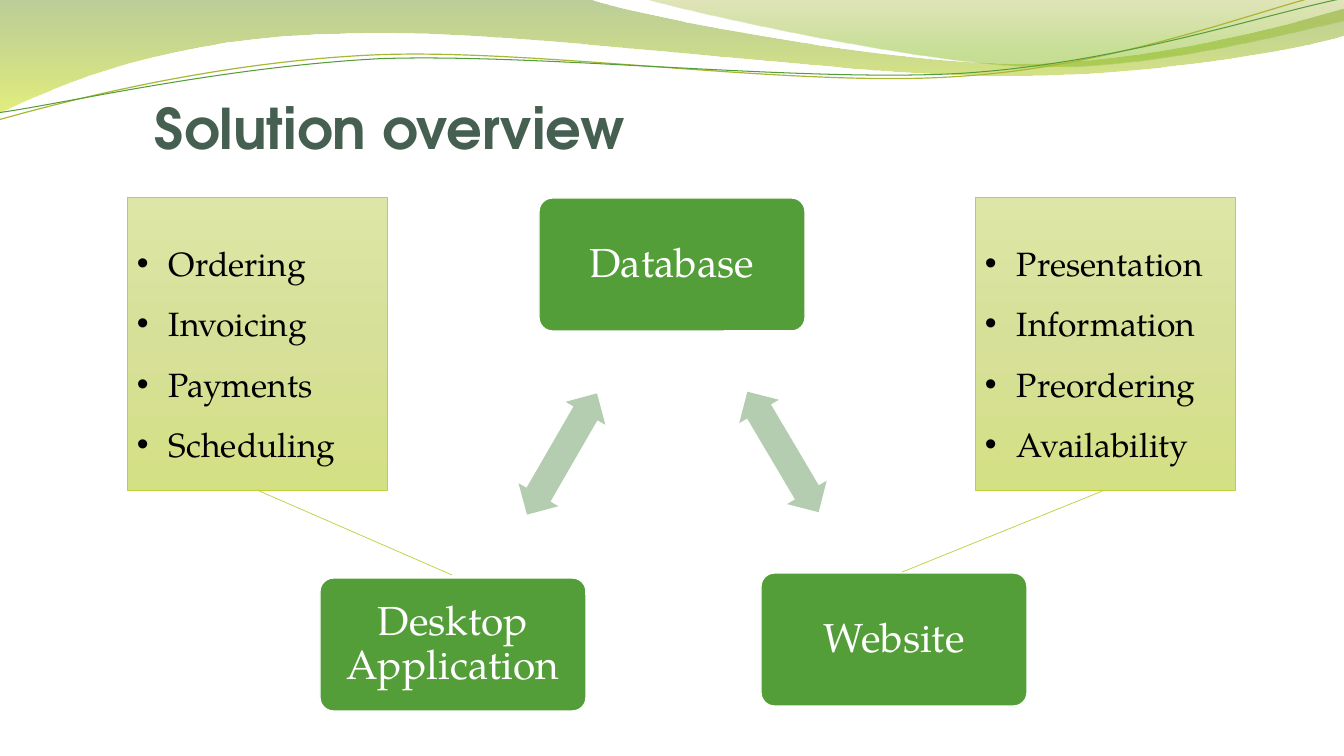
"""Build the "Solution overview" slide: three linked components and two feature callouts."""
from copy import deepcopy

from lxml import etree
from pptx import Presentation
from pptx.dml.color import RGBColor
from pptx.enum.shapes import MSO_SHAPE
from pptx.enum.text import MSO_ANCHOR, PP_ALIGN
from pptx.oxml.ns import qn
from pptx.util import Pt

PX = 914400 / 100.8
ROUNDED = MSO_SHAPE.ROUNDED_RECTANGLE
DOUBLE_ARROW = MSO_SHAPE.LEFT_RIGHT_ARROW
CALLOUT = MSO_SHAPE.LINE_CALLOUT_1
MIDDLE, BOTTOM = MSO_ANCHOR.MIDDLE, MSO_ANCHOR.BOTTOM
CENTER, LEFT = PP_ALIGN.CENTER, PP_ALIGN.LEFT

HEADING_FONT = "TeX Gyre Adventor"
BODY_FONT = "TeX Gyre Pagella"
WHITE = RGBColor(0xFF, 0xFF, 0xFF)
BLACK = RGBColor(0x00, 0x00, 0x00)
SLATE = RGBColor(0x45, 0x5F, 0x51)
GREEN = RGBColor(0x54, 0x9E, 0x39)
SAGE = RGBColor(0xB4, 0xCC, 0xAF)
LIME = RGBColor(0xC0, 0xCF, 0x3A)
PALE_LIME = RGBColor(0xDD, 0xE6, 0xA6)
MID_LIME = RGBColor(0xD7, 0xE0, 0x98)
SOFT_LIME = RGBColor(0xD4, 0xE0, 0x84)
MOSS = RGBColor(0x69, 0x92, 0x1C)
YELLOW_GREEN = RGBColor(0xCC, 0xE1, 0x0F)
OLIVE = RGBColor(0x9B, 0xAA, 0x1A)
LEAF = RGBColor(0x81, 0xBA, 0x16)
OLIVE_LINE = RGBColor(0xA9, 0xB7, 0x33)


def px(length):
    return round(length * PX)


def fill_downward(shape, stops):
    """Apply a top-to-bottom gradient of (position, colour, opacity %) stops."""
    shape.fill.gradient()
    shape.fill.gradient_angle = 270
    first = next(shape.element.iter(qn("a:gs")))
    for _ in stops[2:]:
        first.addnext(deepcopy(first))
    for stop, (position, colour, _) in zip(shape.fill.gradient_stops, stops):
        stop.position = position
        stop.color.rgb = colour
    for node, (_, _, opacity) in zip(shape.element.iter(qn("a:srgbClr")), stops):
        if opacity < 100:
            etree.SubElement(node, qn("a:alpha")).set("val", str(opacity * 1000))


prs = Presentation()
prs.slide_width, prs.slide_height = px(1344), px(756)
slide = prs.slides.add_slide(prs.slide_layouts[6])
shapes = slide.shapes

waves = [
    ((0, 0),
     [[(588, -1)], [(639, 17), (891, 64), (1019, 64)], [(1146, 64), (1287, 26), (1344, 9)],
      [(1345, 36)], [(1322, 44), (1168, 77), (1002, 76)], [(836, 76), (513, 28), (346, 34)],
      [(172, 36), (61, 84), (-2, 114)]],
     [(0, MOSS, 45), (1, YELLOW_GREEN, 55)], None),
    ((643, -1),
     [[(684, 11), (916, 63), (1033, 66)], [(1149, 70), (1292, 32), (1344, 21)], [(1344, 0)]],
     [(0, OLIVE, 30), (0.8, LEAF, 45)], None),
    ((-3, 88),
     [[(63, 73), (212, 41), (372, 41)], [(532, 41), (793, 94), (956, 90)],
      [(1118, 88), (1263, 36), (1343, 22)]],
     None, (OLIVE_LINE, 0.85)),
    ((-3, 81),
     [[(63, 75), (220, 46), (380, 45)], [(541, 47), (801, 89), (962, 87)],
      [(1122, 84), (1266, 42), (1346, 30)]],
     None, (GREEN, 0.75)),
]
for start, segments, gradient, stroke in waves:
    builder = shapes.build_freeform(px(start[0]), px(start[1]))
    builder.add_line_segments([(px(x), px(y)) for x, y in (s[-1] for s in segments)],
                              close=stroke is None)
    wave = builder.convert_to_shape()
    for edge, segment in zip(list(wave.element.iter(qn("a:lnTo"))), segments):
        if len(segment) == 3:
            curve = etree.Element(qn("a:cubicBezTo"))
            for x, y in segment:
                point = etree.SubElement(curve, qn("a:pt"))
                point.set("x", str(px(x) - wave.left))
                point.set("y", str(px(y) - wave.top))
            edge.getparent().replace(edge, curve)
    wave.shadow.inherit = False
    if gradient:
        fill_downward(wave, gradient)
        wave.line.fill.background()
    else:
        wave.rotation = 357.3
        wave.fill.background()
        wave.line.color.rgb, wave.line.width = stroke[0], Pt(stroke[1])

title = shapes.add_textbox(px(155), px(87), px(713), px(74)).text_frame
title.word_wrap = True
title.vertical_anchor = BOTTOM
title.margin_left = title.margin_right = title.margin_bottom = 0
title.margin_top = px(5)
heading = title.paragraphs[0].add_run()
heading.text = "Solution overview"
heading.font.name, heading.font.size, heading.font.bold = HEADING_FONT, Pt(40), True
heading.font.color.rgb = SLATE

for name, x, y in [("Database", 539, 198), ("Website", 761, 573),
                   ("Desktop Application", 320, 578)]:
    component = shapes.add_shape(ROUNDED, px(x), px(y), px(266), px(133))
    component.adjustments[0] = 0.1
    component.shadow.inherit = False
    component.fill.solid()
    component.fill.fore_color.rgb = GREEN
    component.line.color.rgb, component.line.width = WHITE, Pt(1)
    frame = component.text_frame
    frame.word_wrap = True
    frame.vertical_anchor = MIDDLE
    frame.margin_left = frame.margin_right = frame.margin_top = frame.margin_bottom = px(16)
    paragraph = frame.paragraphs[0]
    paragraph.alignment, paragraph.line_spacing = CENTER, 0.9
    label = paragraph.add_run()
    label.text = name
    label.font.name, label.font.size = BODY_FONT, Pt(29)
    label.font.color.rgb = WHITE

for x, y, angle, colour in [(713, 429, 59.4, SAGE), (604, 619, 359.4, WHITE),
                            (492, 431, 300, SAGE)]:
    exchange = shapes.add_shape(DOUBLE_ARROW, px(x), px(y), px(140), px(46))
    exchange.adjustments[0], exchange.adjustments[1] = 0.6, 0.5
    exchange.rotation = angle
    exchange.shadow.inherit = False
    exchange.fill.solid()
    exchange.fill.fore_color.rgb = colour
    exchange.line.fill.background()

callouts = [
    (127, (1.0, 0.5, 1.29, 1.25), ["Ordering", "Invoicing", "Payments", "Scheduling"]),
    (975, (1.0, 0.5, 1.28, -0.28),
     ["Presentation", "Information", "Preordering", "Availability"]),
]
for x, leader, features in callouts:
    callout = shapes.add_shape(CALLOUT, px(x), px(197), px(260), px(293))
    for index, value in enumerate(leader):
        callout.adjustments[index] = value
    callout.shadow.inherit = False
    fill_downward(callout, [(0, PALE_LIME, 100), (0.5, MID_LIME, 100), (1, SOFT_LIME, 100)])
    callout.line.color.rgb, callout.line.width = LIME, Pt(0.5)
    frame = callout.text_frame
    frame.word_wrap = True
    frame.vertical_anchor = MIDDLE
    for index, feature in enumerate(features):
        paragraph = frame.add_paragraph() if index else frame.paragraphs[0]
        paragraph.alignment, paragraph.line_spacing = LEFT, 1.5
        properties = paragraph._p.get_or_add_pPr()
        properties.set("marL", str(px(32)))
        properties.set("indent", str(px(-32)))
        etree.SubElement(properties, qn("a:buFont")).set("typeface", "Arial")
        etree.SubElement(properties, qn("a:buChar")).set("char", "•")
        item = paragraph.add_run()
        item.text = feature
        item.font.name, item.font.size = BODY_FONT, Pt(24)
        item.font.color.rgb = BLACK

prs.save("out.pptx")
